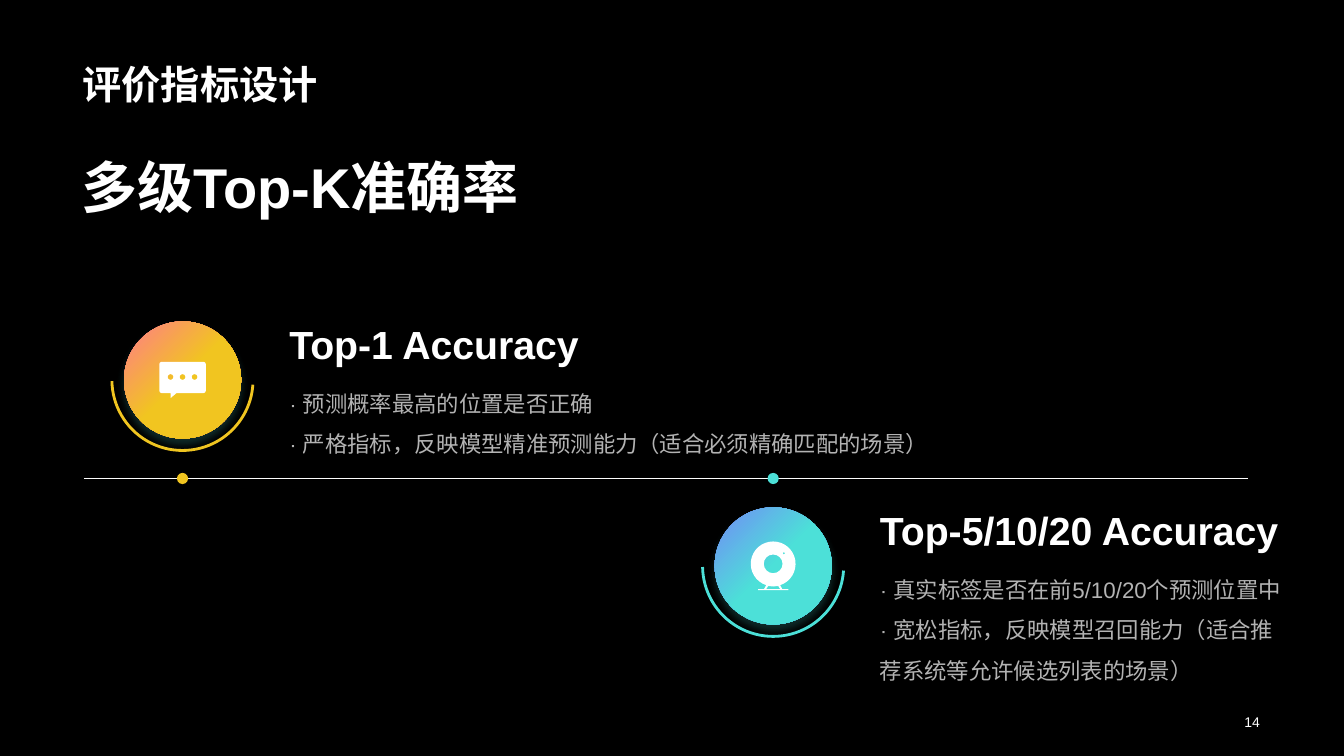
import math

import pptx
import pptx.dml.color
import pptx.enum.shapes
import pptx.enum.text
import pptx.oxml.ns
import pptx.util
from lxml import etree

Pt = pptx.util.Pt
SHAPE = pptx.enum.shapes.MSO_SHAPE
ANCHOR = pptx.enum.text.MSO_ANCHOR
ALIGN = pptx.enum.text.PP_ALIGN
qn = pptx.oxml.ns.qn

COLORS = {
    "background": "000000",
    "text": "FFFFFF",
    "line": "FCFCFC",
    "yellow": "F1C520",
    "pink": "FF7B8B",
    "teal": "4CE0D8",
    "blue": "738BF7",
}
FONT = "Arial"
TIMELINE_Y = 341.8


def rgb(name):
    return pptx.dml.color.RGBColor.from_string(COLORS[name])


def add_alpha(parent, percent):
    for color in parent.iter(qn("a:srgbClr")):
        etree.SubElement(color, qn("a:alpha"), val=str(percent * 1000))


def add_text(slide, place, lines, size, bold=False, anchor=ANCHOR.MIDDLE,
             align=ALIGN.LEFT, spacing=1.0, inset=None, opacity=100):
    box = slide.shapes.add_textbox(*[Pt(value) for value in place])
    frame = box.text_frame
    frame.word_wrap = True
    frame.vertical_anchor = anchor
    if inset is not None:
        frame.margin_left = frame.margin_right = Pt(inset)
        frame.margin_top = frame.margin_bottom = Pt(inset)
    frame.text = "\n".join(lines)
    for para in frame.paragraphs:
        para.alignment = align
        para.line_spacing = spacing
        for span in para.runs:
            font = span.font
            font.name = FONT
            font.size = Pt(size)
            font.bold = bold
            font.color.rgb = rgb("text")
            properties = font._element
            latin = properties.find(qn("a:latin"))
            latin.addnext(etree.Element(qn("a:ea"), typeface=FONT))
            if opacity < 100:
                add_alpha(properties, opacity)


def add_round(slide, kind, x, y, diameter):
    corner = Pt(x - diameter / 2), Pt(y - diameter / 2)
    shape = slide.shapes.add_shape(kind, *corner, Pt(diameter), Pt(diameter))
    shape.shadow.inherit = False
    return shape


def add_ring(slide, x, y, color):
    ring = add_round(slide, SHAPE.ARC, x, y, 100.8)
    ring.adjustments[0] = 2.322
    ring.adjustments[1] = 107.411
    ring.fill.background()
    ring.line.color.rgb = rgb(color)
    ring.line.width = Pt(2)


def add_dot(slide, x, color):
    dot = add_round(slide, SHAPE.OVAL, x, TIMELINE_Y, 8)
    dot.fill.solid()
    dot.fill.fore_color.rgb = rgb(color)
    dot.line.fill.background()


def add_disk(slide, x, y, start, end):
    disk = add_round(slide, SHAPE.OVAL, x, y, 83.6)
    disk.fill.gradient()
    disk.fill.gradient_angle = 315
    stops = disk.fill.gradient_stops
    for stop, color, position in zip(stops, (start, end), (0, 0.5)):
        stop.color.rgb = rgb(color)
        stop.position = position
    disk.line.fill.background()
    effects = disk._element.spPr.find(qn("a:effectLst"))
    shadow = etree.SubElement(
        effects, qn("a:outerShdw"), blurRad=str(Pt(6)), dist=str(Pt(4)),
        dir="5400000", algn="t", rotWithShape="0")
    etree.SubElement(shadow, qn("a:srgbClr"), val=COLORS["teal"])
    add_alpha(shadow, 20)


def arc(x, y, radius, start=0, end=360, count=4):
    step = math.radians(end - start) / count
    pull = 4 / 3 * math.tan(step / 4)

    def point(angle, tangent=0):
        cos, sin = math.cos(angle), math.sin(angle)
        return (x + radius * (cos - tangent * sin),
                y + radius * (sin + tangent * cos))

    angles = [math.radians(start) + step * index for index in range(count + 1)]
    curves = [[point(first, pull), point(last, -pull), point(last)]
              for first, last in zip(angles, angles[1:])]
    return [[point(angles[0])]] + curves


def straight(*points):
    return [[point] for point in points]


def chat_contours():
    def corner(x, y, start):
        return arc(x, y, 1.6, start, start + 90, 1)

    tail = straight((-4.3, 9.4), (-8.6, 13), (-8.6, 9.4))
    bubble = (corner(-15, -11.3, 180) + corner(15, -11.3, 270)
              + corner(15, 7.8, 0) + tail + corner(-15, 7.8, 90))
    return [bubble] + [arc(x, -2.1, 2.1) for x in (-8.6, 0, 8.6)]


def webcam_contours():
    stand = straight((6.5, 16.6), (10.8, 16.6), (10.8, 17.3),
                     (-10.8, 17.3), (-10.8, 16.6), (-6.5, 16.6))
    body = arc(0, -1.4, 16, 108, 432) + stand
    gap = straight((-3.5, 14.4), (-5, 16.6), (5, 16.6))
    gap += arc(0, -1.4, 16.2, 77, 103, 2)
    return [body, gap, arc(0, -1.4, 6.7), arc(7.6, -9, 0.9)]


def bend_curves(icon, contours):
    lines = icon._element.iter(qn("a:lnTo"))
    lines = iter(list(lines))
    for contour in contours:
        for segment in contour[1:]:
            first, *others = [next(lines) for _ in segment]
            if others:
                first.tag = qn("a:cubicBezTo")
            for other in others:
                first.append(other[0])
                other.getparent().remove(other)


def add_icon(slide, x, y, contours):
    builder = None
    for contour in contours:
        start, *points = [(Pt(x + dx), Pt(y + dy))
                          for segment in contour for dx, dy in segment]
        if builder is None:
            builder = slide.shapes.build_freeform(*start)
        else:
            builder.move_to(*start)
        builder.add_line_segments(points, close=True)
    icon = builder.convert_to_shape()
    bend_curves(icon, contours)
    icon.shadow.inherit = False
    icon.fill.solid()
    icon.fill.fore_color.rgb = rgb("text")
    icon.line.fill.background()


def add_timeline(slide):
    line = slide.shapes.add_connector(
        pptx.enum.shapes.MSO_CONNECTOR.STRAIGHT,
        Pt(60), Pt(TIMELINE_Y), Pt(891.4), Pt(TIMELINE_Y))
    line.line.color.rgb = rgb("line")
    line.line.width = Pt(0.75)
    etree.SubElement(line._element.spPr, qn("a:effectLst"))


def add_metric(slide, x, y, heading, points, width, start, end, contours):
    left = x + 67.6
    add_text(slide, (left, y - 51.5, 333, 51), [heading], 28, bold=True,
             anchor=ANCHOR.BOTTOM, inset=8.64)
    add_text(slide, (left, y - 10.8, width, 100), points, 16,
             anchor=ANCHOR.TOP, spacing=1.5, inset=8.64, opacity=70)
    add_ring(slide, x, y, end)
    add_disk(slide, x, y, start, end)
    add_dot(slide, x, end)
    add_icon(slide, x, y, contours)


def main():
    deck = pptx.Presentation()
    deck.slide_width, deck.slide_height = Pt(960), Pt(540)
    slide = deck.slides.add_slide(deck.slide_layouts[6])
    slide.background.fill.solid()
    slide.background.fill.fore_color.rgb = rgb("background")
    add_text(slide, (52, 0, 855, 80.6), ["评价指标设计"], 28, bold=True,
             anchor=ANCHOR.BOTTOM, spacing=0.9)
    add_text(slide, (697.4, 507, 209.5, 17), ["14"], 10, align=ALIGN.RIGHT)
    add_timeline(slide)
    add_text(slide, (51.1, 105, 356.4, 55.6), ["多级Top-K准确率"], 40, bold=True)
    add_metric(slide, 130.4, 271.4, "Top-1 Accuracy", [
        "· 预测概率最高的位置是否正确",
        "· 严格指标，反映模型精准预测能力（适合必须精确匹配的场景）",
    ], 546.5, "pink", "yellow", chat_contours())
    add_metric(slide, 552.3, 404.2, "Top-5/10/20 Accuracy", [
        "· 真实标签是否在前5/10/20个预测位置中",
        "· 宽松指标，反映模型召回能力（适合推荐系统等允许候选列表的场景）",
    ], 314, "blue", "teal", webcam_contours())
    deck.save("out.pptx")


if __name__ == "__main__":
    main()
